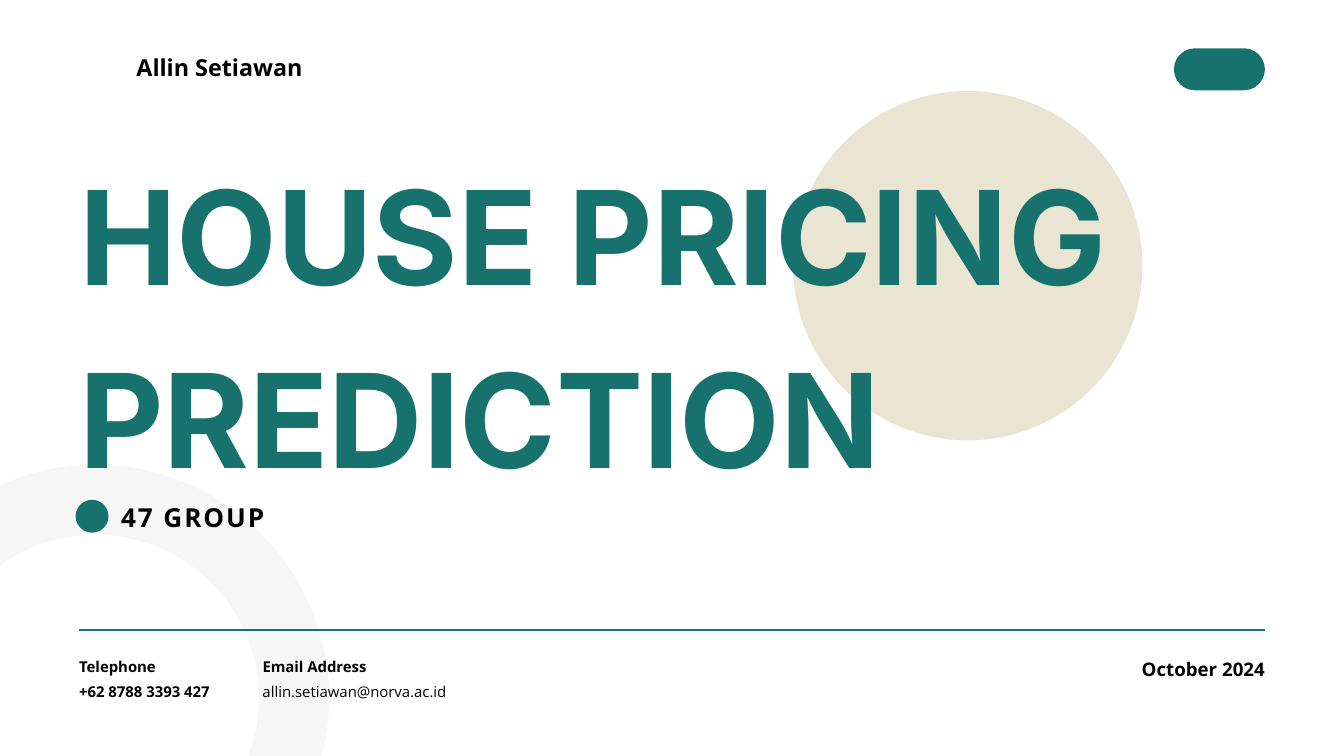
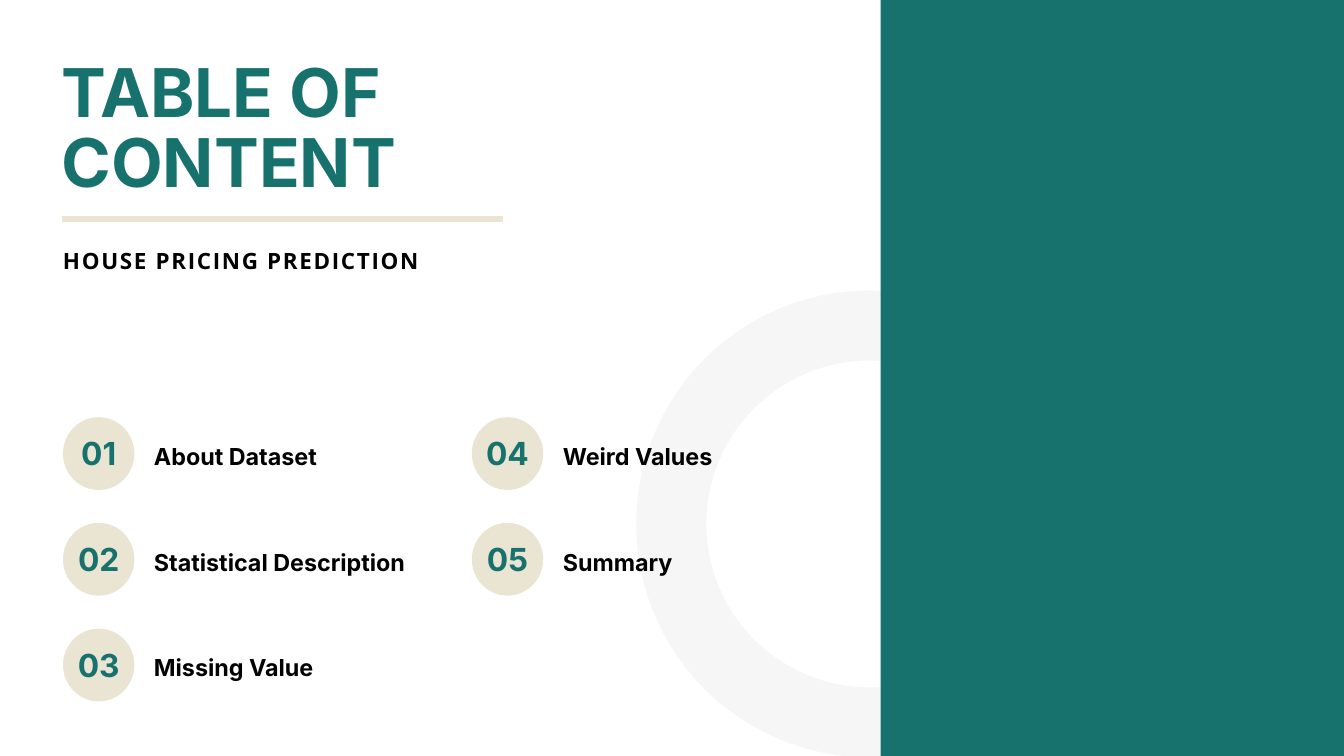
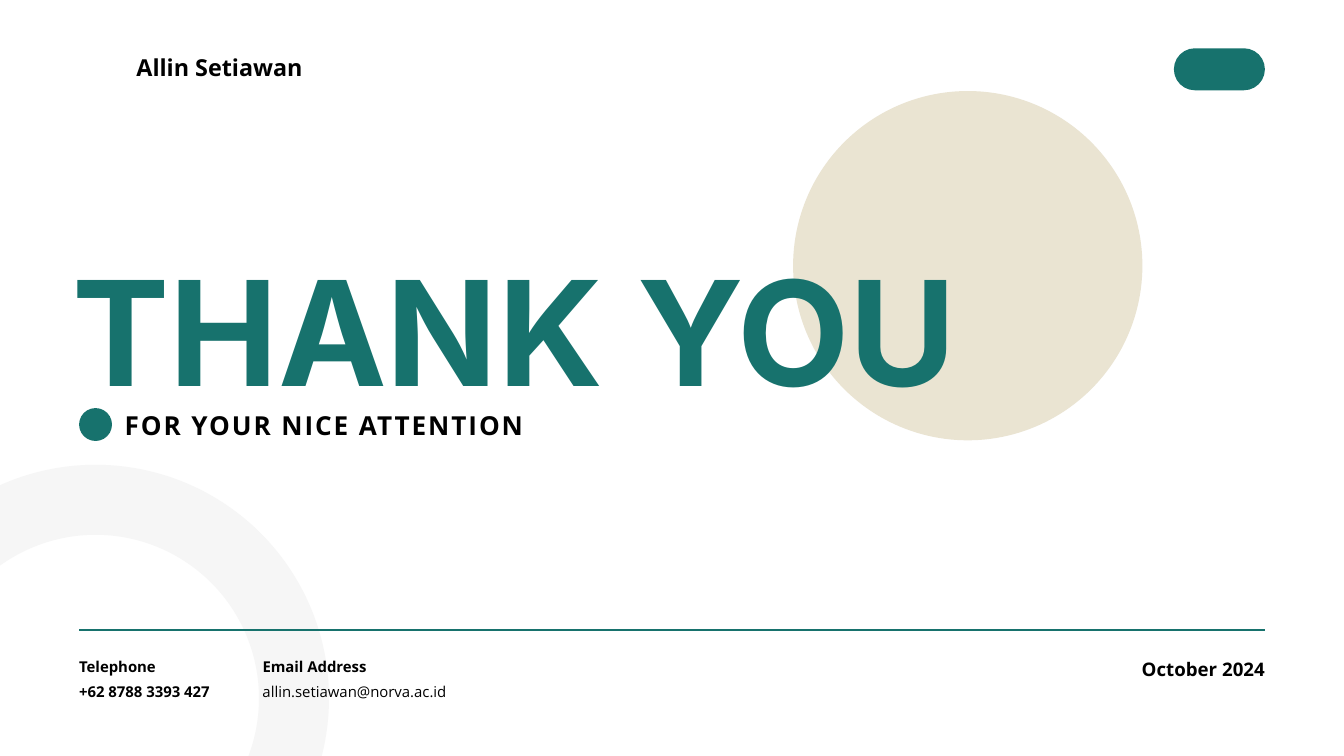
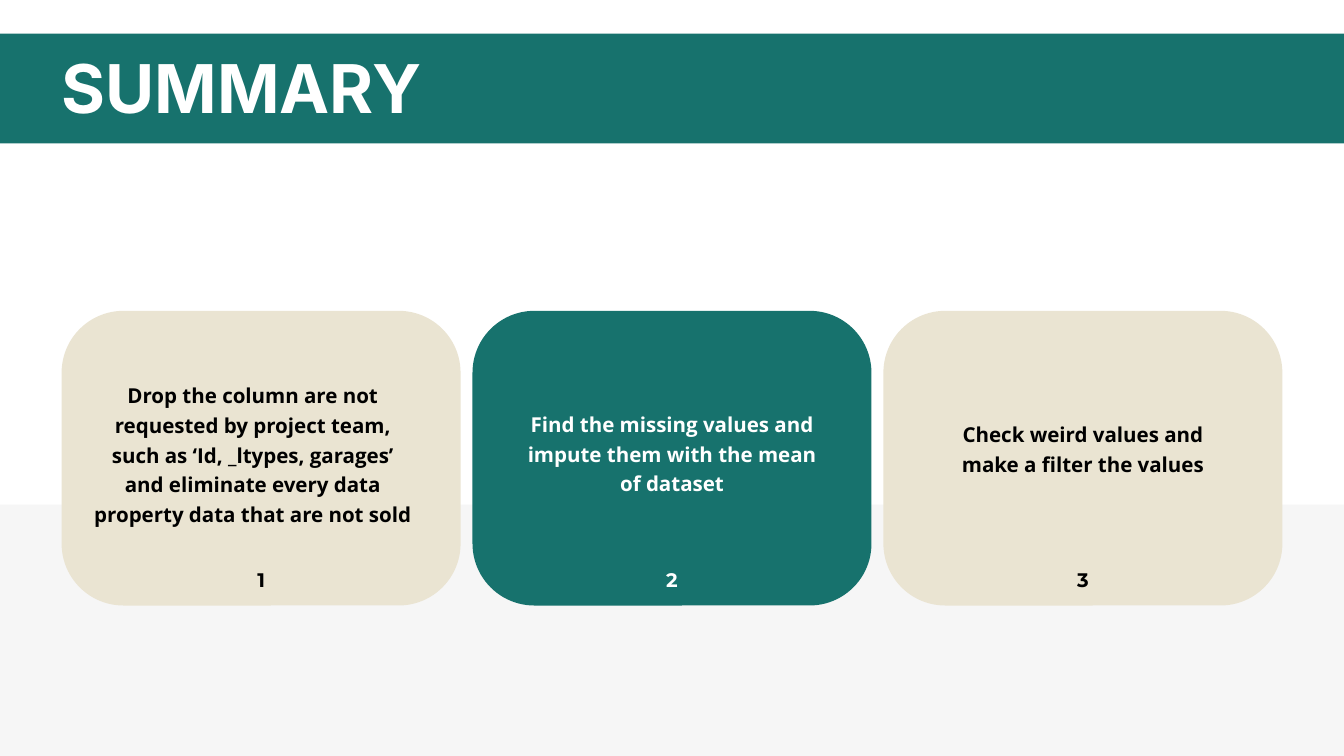
from dataclasses import dataclass

from lxml import etree
from pptx import Presentation
from pptx.dml.color import RGBColor
from pptx.enum.shapes import MSO_CONNECTOR, MSO_SHAPE
from pptx.enum.text import MSO_ANCHOR, MSO_AUTO_SIZE, PP_ALIGN
from pptx.oxml.ns import qn
from pptx.shapes.autoshape import Shape
from pptx.slide import Slide
from pptx.text.text import TextFrame
from pptx.util import Pt

PX = 9525
SLIDE_W, SLIDE_H = 1920, 1080

TEAL = RGBColor(0x17, 0x72, 0x6D)
SAND = RGBColor(0xEA, 0xE4, 0xD2)
MIST = RGBColor(0xF6, 0xF6, 0xF6)
BLACK = RGBColor(0x00, 0x00, 0x00)
WHITE = RGBColor(0xFF, 0xFF, 0xFF)

HEADING_FONT = "Inter"
BODY_FONT = "Open Sans"
NUMBER_FONT = "Montserrat"

LEFT, CENTER = PP_ALIGN.LEFT, PP_ALIGN.CENTER
RIGHT, JUSTIFY = PP_ALIGN.RIGHT, PP_ALIGN.JUSTIFY
TOP, MIDDLE = MSO_ANCHOR.TOP, MSO_ANCHOR.MIDDLE
RECTANGLE, ROUNDED = MSO_SHAPE.RECTANGLE, MSO_SHAPE.ROUNDED_RECTANGLE
OVAL = MSO_SHAPE.OVAL
STRAIGHT = MSO_CONNECTOR.STRAIGHT
NO_AUTOFIT = MSO_AUTO_SIZE.NONE

TITLE_ONLY = 5
RING_SIZE, RING_WEIGHT = 567, 75


@dataclass(frozen=True)
class Box:
    left: int
    top: int
    width: int
    height: int

    def emu(self) -> tuple[int, int, int, int]:
        return (self.left * PX, self.top * PX, self.width * PX, self.height * PX)


@dataclass(frozen=True)
class TextStyle:
    """Sizes, leading and tracking are in points."""
    size: float
    leading: float
    font: str = BODY_FONT
    color: RGBColor = BLACK
    bold: bool = True
    align: PP_ALIGN = LEFT
    tracking: float = 0


@dataclass(frozen=True)
class FooterEntry:
    text: str
    box: Box
    style: TextStyle


@dataclass(frozen=True)
class SummaryCard:
    message: str
    fill: RGBColor
    color: RGBColor
    message_inset: int
    message_top: int
    message_width: int
    message_height: int


COVER_TITLE = TextStyle(140, 196, HEADING_FONT, TEAL)
CLOSING_TITLE = TextStyle(156.2, 218.7, HEADING_FONT, TEAL)
CONTENT_TITLE = TextStyle(72, 75.6, HEADING_FONT, TEAL)
BAND_TITLE = TextStyle(72, 75.6, HEADING_FONT, WHITE)
TAGLINE = TextStyle(28, 39.2, tracking=2.1)
CONTENT_TAGLINE = TextStyle(24, 33.6, tracking=1.8)
AUTHOR = TextStyle(25, 35)
CONTACT_BOLD = TextStyle(16, 24.8, align=JUSTIFY)
CONTACT_PLAIN = TextStyle(16, 24.8, bold=False, align=JUSTIFY)
DATE = TextStyle(20, 31, align=RIGHT)
TOPIC_NUMBER = TextStyle(34, 47.6, HEADING_FONT, TEAL, align=CENTER)
TOPIC = TextStyle(25, 35, HEADING_FONT)

FOOTER = [
    FooterEntry("Telephone", Box(113, 932, 211, 31), CONTACT_BOLD),
    FooterEntry("+62 8788 3393 427", Box(113, 968, 211, 31), CONTACT_BOLD),
    FooterEntry("Email Address", Box(375, 932, 286, 31), CONTACT_BOLD),
    FooterEntry("allin.setiawan@norva.ac.id", Box(375, 968, 301, 31), CONTACT_PLAIN),
    FooterEntry("October 2024", Box(1506, 930, 301, 38), DATE),
]

TOPICS = ["About Dataset", "Statistical Description", "Missing Value",
          "Weird Values", "Summary"]
TOPIC_ROWS = 3
TOPIC_LEFT, TOPIC_TOP = 90, 596
TOPIC_COLUMN_STEP, TOPIC_ROW_STEP = 584, 151

CARDS = [
    SummaryCard("Drop the column are not requested by project team, such as "
                "‘Id, _ltypes, garages’ and eliminate every data property data "
                "that are not sold", SAND, BLACK, 44, 540, 458, 207),
    SummaryCard("Find the missing values and impute them with the mean of dataset",
                TEAL, WHITE, 69, 581, 432, 124),
    SummaryCard("Check weird values and make a filter the values",
                SAND, BLACK, 69, 596, 432, 82),
]
CARD_LEFT, CARD_TOP, CARD_W, CARD_H, CARD_GAP = 88, 444, 570, 421, 17


def write(frame: TextFrame, text: str, style: TextStyle, anchor: MSO_ANCHOR = TOP) -> None:
    frame.word_wrap = True
    frame.auto_size = NO_AUTOFIT
    frame.vertical_anchor = anchor
    frame.margin_left = frame.margin_top = frame.margin_right = frame.margin_bottom = 0
    paragraph = frame.paragraphs[0]
    paragraph.alignment = style.align
    paragraph.line_spacing = Pt(style.leading)
    paragraph.space_before = paragraph.space_after = Pt(0)
    run = paragraph.add_run()
    run.text = text
    run.font.name = style.font
    run.font.size = Pt(style.size)
    run.font.bold = style.bold
    run.font.color.rgb = style.color
    if style.tracking:
        run._r.get_or_add_rPr().set("spc", str(round(style.tracking * 100)))


def add_text(slide: Slide, text: str, box: Box, style: TextStyle) -> None:
    write(slide.shapes.add_textbox(*box.emu()).text_frame, text, style)


def add_title(slide: Slide, text: str, box: Box, style: TextStyle) -> None:
    """Place the title placeholder in front of the shapes drawn so far."""
    title = slide.shapes.title
    title.left, title.top, title.width, title.height = box.emu()
    write(title.text_frame, text, style)
    slide.shapes._spTree.append(title._element)


def add_filled(slide: Slide, kind: MSO_SHAPE, box: Box, color: RGBColor) -> Shape:
    shape = slide.shapes.add_shape(kind, *box.emu())
    shape.shadow.inherit = False
    shape.fill.solid()
    shape.fill.fore_color.rgb = color
    shape.line.fill.background()
    return shape


def add_ring(slide: Slide, left: int, top: int) -> None:
    ring = slide.shapes.add_shape(OVAL, *Box(left, top, RING_SIZE, RING_SIZE).emu())
    ring.shadow.inherit = False
    ring.fill.background()
    ring.line.color.rgb = MIST
    ring.line.width = Pt(RING_WEIGHT)


def add_rule(slide: Slide, left: int, right: int, y: int,
             color: RGBColor, weight: float) -> None:
    rule = slide.shapes.add_connector(STRAIGHT, left * PX, y * PX, right * PX, y * PX)
    rule.line.color.rgb = color
    rule.line.width = Pt(weight)
    etree.SubElement(rule._element.spPr, qn("a:effectLst"))


def new_slide(deck: Presentation) -> Slide:
    return deck.slides.add_slide(deck.slide_layouts[TITLE_ONLY])


def add_bookend(deck: Presentation, title: str, title_box: Box, title_style: TextStyle,
                tagline: str, dot_left: int, dot_top: int, tagline_top: int) -> None:
    """Opening and closing slides: same decoration, author and footer."""
    slide = new_slide(deck)
    add_ring(slide, -147, 714)
    add_rule(slide, 113, 1807, 900, TEAL, 3)
    add_filled(slide, OVAL, Box(1133, 130, 499, 499), SAND)
    add_filled(slide, OVAL, Box(dot_left, dot_top, 47, 47), TEAL)
    pill = add_filled(slide, ROUNDED, Box(1677, 69, 130, 60), TEAL)
    pill.adjustments[0] = 0.5
    add_title(slide, title, title_box, title_style)
    add_text(slide, tagline, Box(dot_left + 65, tagline_top, 847, 51), TAGLINE)
    add_text(slide, "Allin Setiawan", Box(195, 69, 335, 44), AUTHOR)
    for entry in FOOTER:
        add_text(slide, entry.text, entry.box, entry.style)


def add_topic(slide: Slide, index: int, topic: str) -> None:
    column, row = divmod(index, TOPIC_ROWS)
    left = TOPIC_LEFT + column * TOPIC_COLUMN_STEP
    top = TOPIC_TOP + row * TOPIC_ROW_STEP
    badge = add_filled(slide, OVAL, Box(left, top, 102, 104), SAND)
    write(badge.text_frame, f"{index + 1:02d}", TOPIC_NUMBER, MIDDLE)
    badge.text_frame.margin_bottom = 10 * PX
    add_text(slide, topic, Box(left + 130, top + 29, 379, 43), TOPIC)


def add_contents(deck: Presentation) -> None:
    slide = new_slide(deck)
    add_ring(slide, 959, 465)
    add_filled(slide, RECTANGLE, Box(1258, 0, SLIDE_W - 1258, SLIDE_H), TEAL)
    add_rule(slide, 88, 719, 313, SAND, 6)
    add_title(slide, "TABLE OF CONTENT", Box(88, 86, 752, 204), CONTENT_TITLE)
    add_text(slide, "HOUSE PRICING PREDICTION", Box(90, 346, 716, 41), CONTENT_TAGLINE)
    for index, topic in enumerate(TOPICS):
        add_topic(slide, index, topic)


def add_card(slide: Slide, index: int, card: SummaryCard) -> None:
    left = CARD_LEFT + index * (CARD_W + CARD_GAP)
    panel = add_filled(slide, ROUNDED, Box(left, CARD_TOP, CARD_W, CARD_H), card.fill)
    panel.adjustments[0] = 0.21
    message_box = Box(left + card.message_inset, card.message_top,
                      card.message_width, card.message_height)
    add_text(slide, card.message, message_box,
             TextStyle(22, 31.9, color=card.color, align=CENTER))
    add_text(slide, str(index + 1), Box(left + 127, 806, 316, 37),
             TextStyle(21, 29.4, NUMBER_FONT, card.color, align=CENTER))


def add_summary(deck: Presentation) -> None:
    slide = new_slide(deck)
    add_filled(slide, RECTANGLE, Box(0, 721, SLIDE_W, SLIDE_H - 721), MIST)
    add_filled(slide, RECTANGLE, Box(0, 48, SLIDE_W, 157), TEAL)
    for index, card in enumerate(CARDS):
        add_card(slide, index, card)
    add_title(slide, "SUMMARY", Box(88, 81, 855, 104), BAND_TITLE)


def main() -> None:
    deck = Presentation()
    deck.slide_width, deck.slide_height = SLIDE_W * PX, SLIDE_H * PX
    add_bookend(deck, "HOUSE PRICING PREDICTION", Box(113, 184, 1507, 514), COVER_TITLE,
                "47 GROUP", dot_left=108, dot_top=714, tagline_top=709)
    add_contents(deck)
    add_bookend(deck, "THANK YOU", Box(103, 302, 1487, 280), CLOSING_TITLE,
                "FOR YOUR NICE ATTENTION", dot_left=113, dot_top=583, tagline_top=578)
    add_summary(deck)
    deck.save("out.pptx")


if __name__ == "__main__":
    main()
